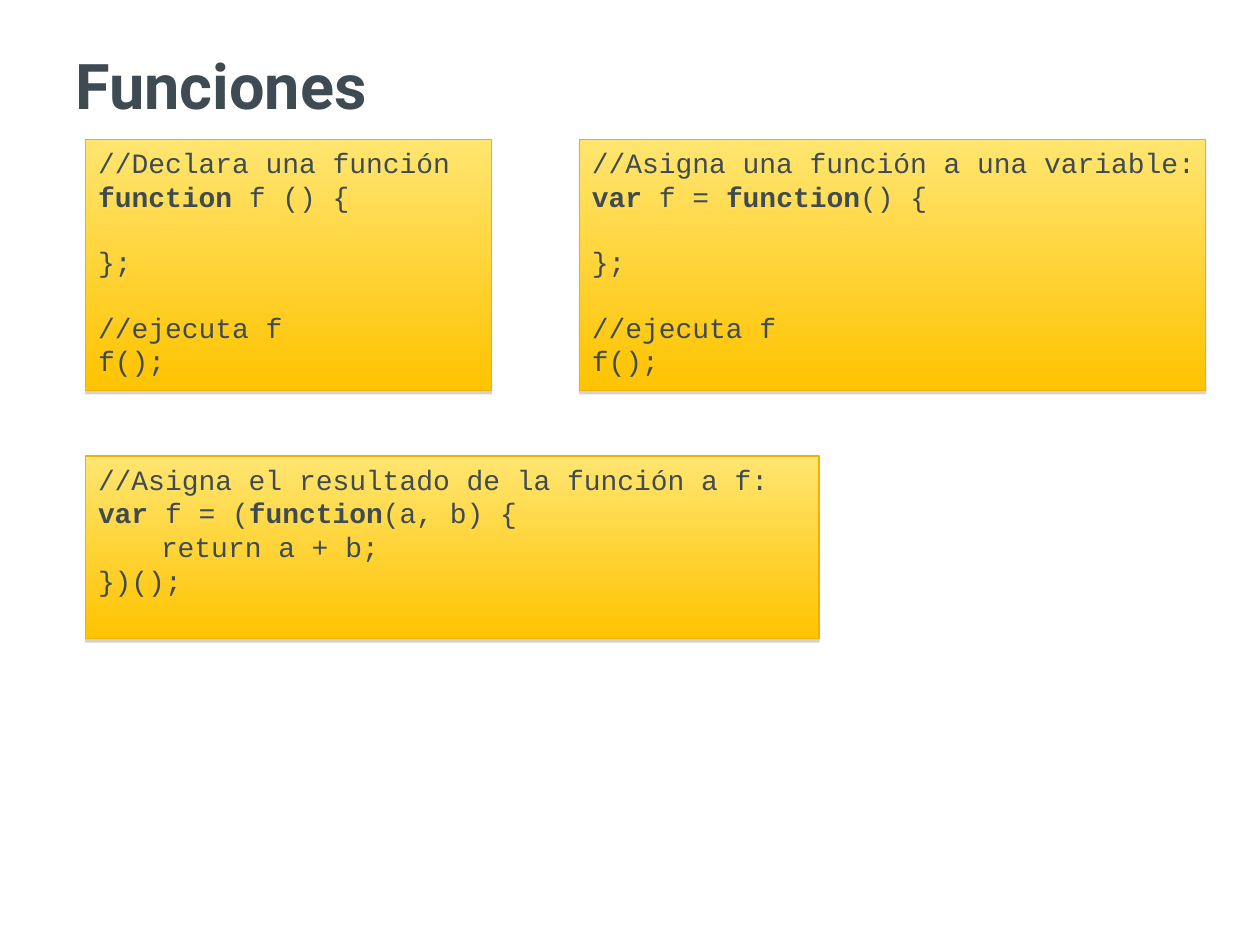
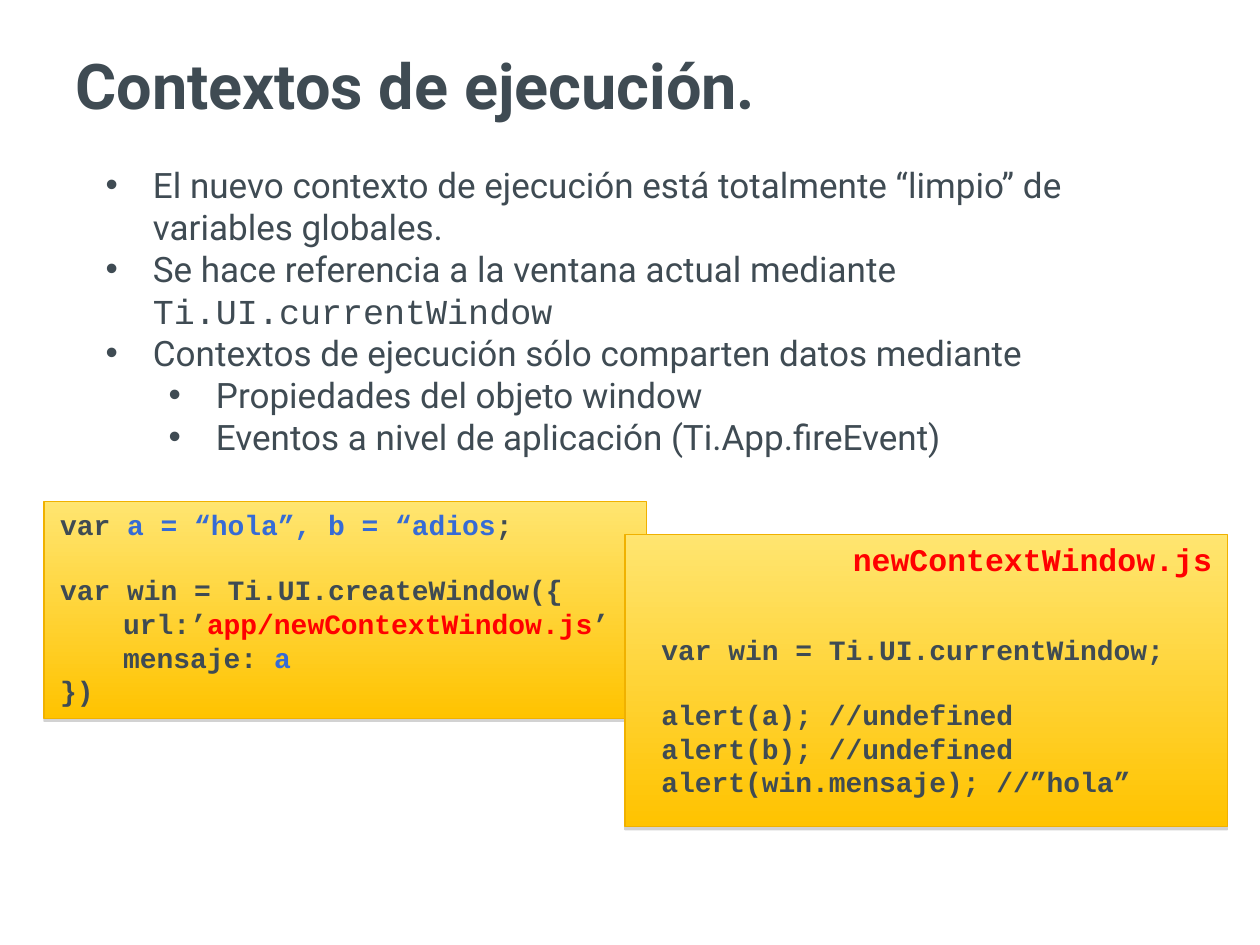
from pptx import Presentation
from pptx.dml.color import RGBColor
from pptx.enum.shapes import MSO_SHAPE
from pptx.enum.text import MSO_ANCHOR
from pptx.oxml import parse_xml
from pptx.oxml.ns import nsdecls, qn
from pptx.util import Inches, Pt

prs = Presentation()
prs.slide_width, prs.slide_height = Inches(10), Inches(7.5)
COL = prs.slide_width / 100
ROW = prs.slide_height / 75
INK, BLUE, RED = "3F4B53", "366BD5", "FF0000"
TITLE = {"name": "Roboto", "size": Pt(36), "bold": True, "color": INK}
BODY = {"name": "Roboto", "size": Pt(20), "color": INK}
CODE = {"name": "Courier New", "size": Pt(16), "color": INK}
STRONG = {**CODE, "bold": True}
FILE = {**STRONG, "size": Pt(18), "color": RED}
BOLD = {"bold": True}
MONO = {"name": "Courier New"}
VALUE, LINK = {"color": BLUE}, {"color": RED}
TAB, BLANK = 5, Pt(18.1)
SHADOW = (f'<a:outerShdw {nsdecls("a")} blurRad="0" dist="22860" dir="5400000" '
          'algn="ctr" rotWithShape="0"><a:srgbClr val="808080">'
          '<a:alpha val="35000"/></a:srgbClr></a:outerShdw>')


def rgb(value):
    return RGBColor.from_string(value)


def add_text(slide, grid, paragraphs, fmt, bullet=None, anchor=MSO_ANCHOR.TOP):
    x, y, w, h = grid
    tf = slide.shapes.add_textbox(*map(int, (x * COL, y * ROW, w * COL, h * ROW))).text_frame
    tf.word_wrap, tf.vertical_anchor = True, anchor
    for i, (indent, gap, *runs) in enumerate(paragraphs):
        p = tf.paragraphs[0] if i == 0 else tf.add_paragraph()
        p.space_before = gap
        pPr = p._p.get_or_add_pPr()
        pPr.set("marL", str(int(indent * COL)))
        if bullet:
            p.level = int(indent > TAB)
            pPr.set("indent", str(int(-bullet * COL)))
            for xml in (f'<a:buClr {nsdecls("a")}><a:srgbClr val="{INK}"/></a:buClr>',
                        f'<a:buFont {nsdecls("a")} typeface="Arial"/>',
                        f'<a:buChar {nsdecls("a")} char="•"/>'):
                pPr.append(parse_xml(xml))
        for run in runs:
            text, own = (run, {}) if isinstance(run, str) else run
            r = p.add_run()
            r.text = text
            for name, value in {**fmt, **own}.items():
                if name == "color":
                    r.font.color.rgb = rgb(value)
                else:
                    setattr(r.font, name, value)


call_f = [(0, BLANK, "};"), (0, BLANK, "//ejecuta f"), (0, 0, "f();")]
declare = [
    (0, 0, "//Declara una función"),
    (0, 0, ("function", BOLD), " f () {"),
    *call_f,
]
assign = [
    (0, 0, "//Asigna una función a una variable:"),
    (0, 0, ("var", BOLD), " f = ", ("function", BOLD), "() {"),
    *call_f,
]
result = [
    (0, 0, "//Asigna el resultado de la función a f:"),
    (0, 0, ("var", BOLD), " f = (", ("function", BOLD), "(a, b) {"),
    (TAB, 0, "return a + b;"),
    (0, 0, "})();"),
]
opener = [
    (0, 0, "var ", ("a = “hola”, b = “adios", VALUE), ";"),
    (0, BLANK, "var win = Ti.UI.createWindow({"),
    (TAB, 0, "url:’", ("app/newContextWindow.js", LINK), "’"),
    (TAB, 0, "mensaje: ", ("a", VALUE)),
    (0, 0, "})"),
]
opened = [
    (0, 0, "var win = Ti.UI.currentWindow;"),
    (0, BLANK, "alert(a); //undefined"),
    (0, 0, "alert(b); //undefined"),
    (0, 0, "alert(win.mensaje); //”hola”"),
]
HANG = 3.75
points = [
    (HANG, 0, "El nuevo contexto de ejecución está totalmente “limpio” de variables globales."),
    (HANG, 0, "Se hace referencia a la ventana actual mediante ", ("Ti.UI.currentWindow", MONO)),
    (HANG, 0, "Contextos de ejecución sólo comparten datos mediante"),
    (HANG + TAB, 0, "Propiedades del objeto window"),
    (HANG + TAB, 0, "Eventos a nivel de aplicación (Ti.App.fireEvent)"),
]

deck = [
    ("Funciones", [], CODE, [
        ((6.8, 11.1, 32.2, 19.9), (6.8, 11.1, 32.2, 19.7), declare),
        ((46, 11.1, 49.7, 19.9), (46, 11.1, 51.4, 19.7), assign),
        ((6.8, 36.2, 58.2, 14.5), (6.8, 36.2, 60.7, 14.4), result),
    ]),
    ("Contextos de ejecución.", points, STRONG, [
        ((3.5, 39.8, 47.8, 17.2), (3.8, 39.8, 46, 17), opener),
        ((49.6, 42.4, 47.8, 23.2), (51.5, 49.7, 42.5, 14.4), opened),
    ]),
]

for title, bullets, code_fmt, panels in deck:
    slide = prs.slides.add_slide(prs.slide_layouts[6])
    add_text(slide, (5, 2.2, 95, 8.9), [(0, 0, title)], TITLE, anchor=MSO_ANCHOR.MIDDLE)
    if bullets:
        add_text(slide, (7.4, 12.5, 88.1, 31), bullets, BODY, bullet=HANG)
    for (x, y, w, h), text_grid, code in panels:
        sp = slide.shapes.add_shape(MSO_SHAPE.RECTANGLE,
                                    *map(int, (x * COL, y * ROW, w * COL, h * ROW)))
        sp.fill.gradient()
        sp.fill.gradient_angle = 270
        for stop, position, color in zip(sp.fill.gradient_stops, (0, 1), ("FFE570", "FFC300")):
            stop.position, stop.color.rgb = position, rgb(color)
        sp.line.color.rgb, sp.line.width = rgb("F0B100"), Pt(0.75)
        sp.shadow.inherit = False
        sp._element.spPr.find(qn("a:effectLst")).append(parse_xml(SHADOW))
        add_text(slide, text_grid, code, code_fmt)

add_text(slide, (66.7, 42.4, 31, 4), [(0, 0, "newContextWindow.js")], FILE)

prs.save("out.pptx")
